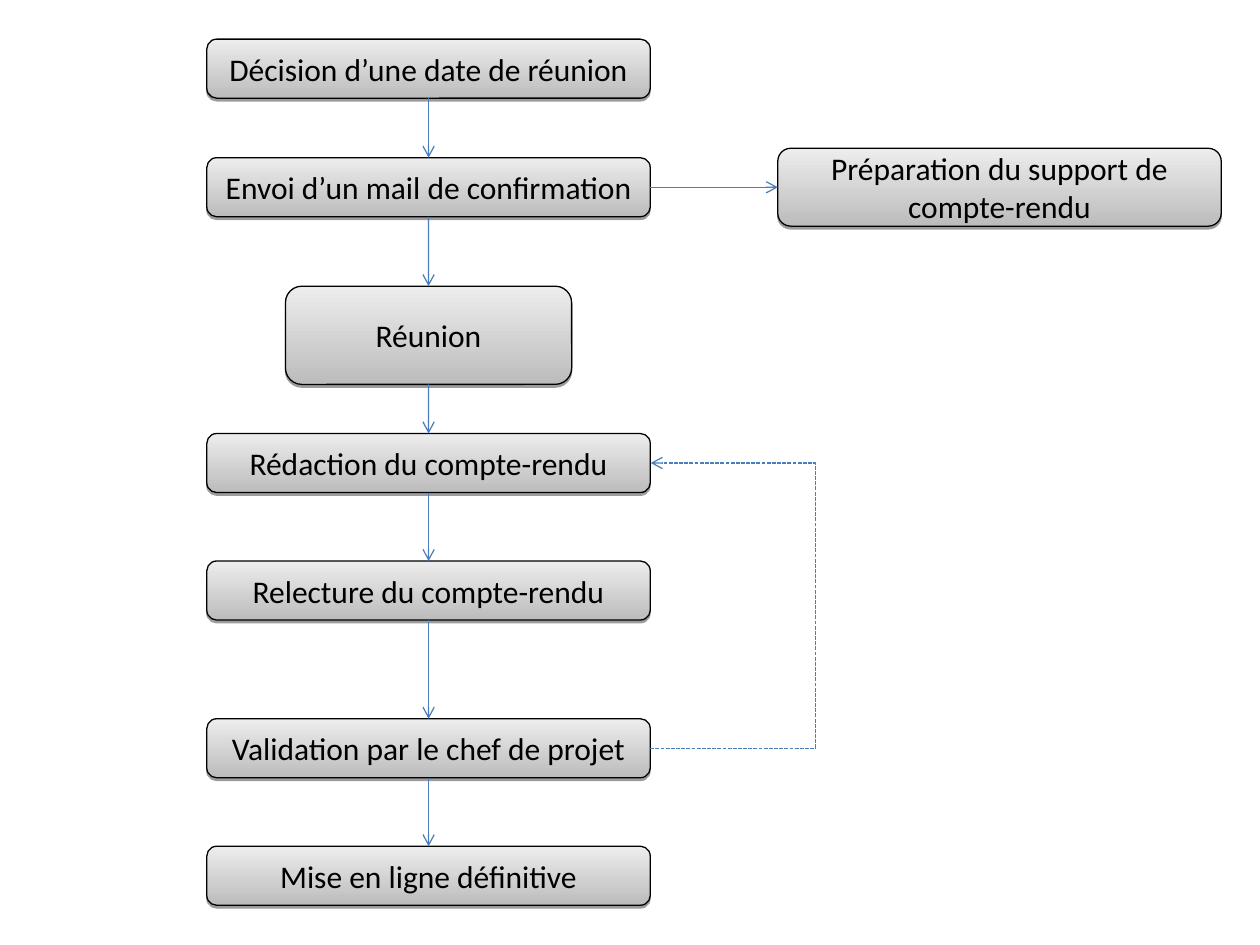
"""Build a flowchart slide of the meeting and minutes process."""
from dataclasses import dataclass
from itertools import pairwise

from lxml.etree import SubElement
from pptx import Presentation
from pptx.dml.color import RGBColor
from pptx.enum.dml import MSO_LINE
from pptx.enum.shapes import MSO_CONNECTOR, MSO_SHAPE
from pptx.enum.text import MSO_ANCHOR, PP_ALIGN
from pptx.oxml.ns import qn
from pptx.util import Cm, Pt

STEP_SIZE = (8.94, 1.19)
MEETING_SIZE = (5.77, 1.98)
SUPPORT_SIZE = (8.94, 1.57)
STEP_CENTER = 8.64
SUPPORT_CENTER = 20.15

STEPS = [
    ("Décision d’une date de réunion", 0.79, STEP_SIZE),
    ("Envoi d’un mail de confirmation", 3.18, STEP_SIZE),
    ("Réunion", 5.77, MEETING_SIZE),
    ("Rédaction du compte-rendu", 8.74, STEP_SIZE),
    ("Relecture du compte-rendu", 11.31, STEP_SIZE),
    ("Validation par le chef de projet", 14.49, STEP_SIZE),
    ("Mise en ligne définitive", 17.06, STEP_SIZE),
]
SUPPORT = ("Préparation du support de compte-rendu", 2.99, SUPPORT_SIZE)
MAILING, WRITING, APPROVAL = 1, 3, 5

TOP, LEFT, BOTTOM, RIGHT = range(4)
SIDE_FRACTIONS = {TOP: (0.5, 0), LEFT: (0, 0.5), BOTTOM: (0.5, 1), RIGHT: (1, 0.5)}
LOOP_REACH = 3.33
LOOP_WIDTH = 0.01


@dataclass(frozen=True)
class Theme:
    font: str = "Calibri"
    text_size: Pt = Pt(18)
    line_width: Pt = Pt(0.75)
    ink: RGBColor = RGBColor(0, 0, 0)
    arrow: RGBColor = RGBColor(0x4A, 0x7E, 0xBB)
    gradient: tuple = (RGBColor(0xBC, 0xBC, 0xBC), RGBColor(0xED, 0xED, 0xED))
    shadow: str = "000000"


THEME = Theme()


def add_shadow(step):
    step.shadow.inherit = False
    effects = step._element.spPr.find(qn("a:effectLst"))
    shadow = SubElement(effects, qn("a:outerShdw"), blurRad="0",
                        dist=str(Pt(1.6)), dir="5400000", rotWithShape="0")
    color = SubElement(shadow, qn("a:srgbClr"), val=THEME.shadow)
    SubElement(color, qn("a:alpha"), val="38000")


def add_step(slide, center, text, top, size):
    width, height = size
    step = slide.shapes.add_shape(
        MSO_SHAPE.ROUNDED_RECTANGLE,
        Cm(center - width / 2), Cm(top), Cm(width), Cm(height))
    step.fill.gradient()
    step.fill.gradient_angle = 90
    for stop, color in zip(step.fill.gradient_stops, THEME.gradient):
        stop.color.rgb = color
    step.line.color.rgb = THEME.ink
    step.line.width = THEME.line_width
    add_shadow(step)
    frame = step.text_frame
    frame.word_wrap = True
    frame.vertical_anchor = MSO_ANCHOR.MIDDLE
    frame.text = text
    paragraph = frame.paragraphs[0]
    paragraph.alignment = PP_ALIGN.CENTER
    paragraph.font.name = THEME.font
    paragraph.font.size = THEME.text_size
    paragraph.font.color.rgb = THEME.ink
    return step


def side_point(step, side):
    across, down = SIDE_FRACTIONS[side]
    return (int(step.left + step.width * across),
            int(step.top + step.height * down))


def add_arrow(slide, source, source_side, target, target_side,
              kind=MSO_CONNECTOR.STRAIGHT, dash=None):
    arrow = slide.shapes.add_connector(
        kind, *side_point(source, source_side), *side_point(target, target_side))
    arrow.begin_connect(source, source_side)
    arrow.end_connect(target, target_side)
    arrow.line.color.rgb = THEME.arrow
    arrow.line.width = THEME.line_width
    if dash:
        arrow.line.dash_style = dash
    properties = arrow._element.spPr
    SubElement(properties.find(qn("a:ln")), qn("a:tailEnd"), type="arrow")
    SubElement(properties, qn("a:effectLst"))
    return arrow


def add_return_loop(slide, source, target):
    loop = add_arrow(slide, source, RIGHT, target, RIGHT,
                     MSO_CONNECTOR.ELBOW, MSO_LINE.SQUARE_DOT)
    loop.width = Cm(LOOP_WIDTH)
    bend = round(LOOP_REACH / LOOP_WIDTH * 100000)
    adjustments = loop._element.spPr.prstGeom.get_or_add_avLst()
    SubElement(adjustments, qn("a:gd"), name="adj1", fmla=f"val {bend}")


def main():
    deck = Presentation()
    deck.slide_width, deck.slide_height = Cm(25.4), Cm(19.05)
    slide = deck.slides.add_slide(deck.slide_layouts[6])
    steps = [add_step(slide, STEP_CENTER, *step) for step in STEPS]
    support = add_step(slide, SUPPORT_CENTER, *SUPPORT)
    for earlier, later in pairwise(steps):
        add_arrow(slide, earlier, BOTTOM, later, TOP)
    add_arrow(slide, steps[MAILING], RIGHT, support, LEFT)
    add_return_loop(slide, steps[APPROVAL], steps[WRITING])
    deck.save("out.pptx")


if __name__ == "__main__":
    main()
